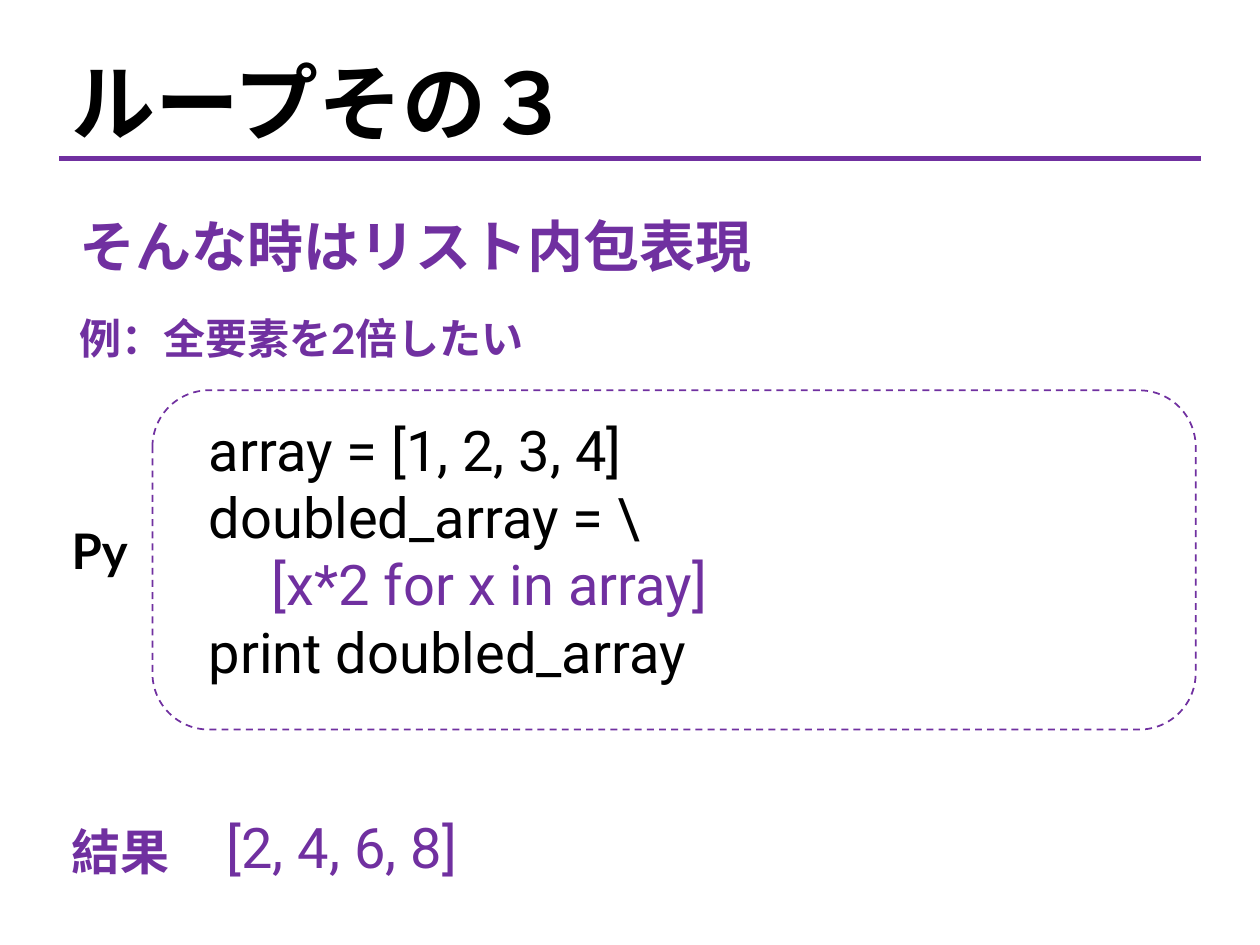
from dataclasses import dataclass

from lxml import etree
from pptx import Presentation
from pptx import util as u
from pptx.dml.color import RGBColor
from pptx.enum import dml, shapes, text
from pptx.oxml.ns import qn


@dataclass(frozen=True)
class Theme:
    """Colours, fonts and type sizes of the page."""
    accent: RGBColor = RGBColor(0x70, 0x30, 0xA0)
    ink: RGBColor = RGBColor(0, 0, 0)
    heading: str = "Noto Sans CJK JP"
    label: str = "Lato"
    code: str = "Roboto"
    title: int = 48
    large: int = 32
    medium: int = 28
    small: int = 24


class Page:
    """Draws elements on one slide, placed by shares of its size."""

    def __init__(self, deck, theme):
        """Add a slide with only a title."""
        self.deck, self.theme = deck, theme
        self.slide = deck.slides.add_slide(deck.slide_layouts[5])

    def place(self, left, top, width, height):
        """Turn shares of the slide into lengths."""
        across, down = self.deck.slide_width, self.deck.slide_height
        return [round(share * side) for share, side in
                zip((left, top, width, height), (across, down) * 2)]

    def fill_text(self, box, lines, font, size, bold=False):
        """Fill a box with (wording, colour) lines."""
        frame = box.text_frame
        frame.word_wrap = True
        frame.auto_size = text.MSO_AUTO_SIZE.NONE
        frame.vertical_anchor = text.MSO_ANCHOR.TOP
        for index, (wording, colour) in enumerate(lines):
            para = frame.add_paragraph() if index else frame.paragraphs[0]
            para.text = wording
            para.alignment = text.PP_ALIGN.LEFT
            para.font.name, para.font.size = font, u.Pt(size)
            para.font.bold, para.font.color.rgb = bold, colour
            east = etree.SubElement(para.font._element, qn("a:ea"))
            east.set("typeface", self.theme.heading)

    def title(self, area, wording):
        """Move and format the title placeholder."""
        box = self.slide.shapes.title
        box.left, box.top, box.width, box.height = self.place(*area)
        self.fill_text(box, [(wording, self.theme.ink)],
                       self.theme.heading, self.theme.title, True)

    def label(self, area, wording, size, colour):
        """Add a bold one-paragraph label."""
        box = self.slide.shapes.add_textbox(*self.place(*area))
        self.fill_text(box, [(wording, colour)], self.theme.label, size, True)

    def code(self, area, lines):
        """Add lines of code."""
        box = self.slide.shapes.add_textbox(*self.place(*area))
        self.fill_text(box, lines, self.theme.code, self.theme.large)

    def rule(self, left, right, top):
        """Add a horizontal rule."""
        start, level, end, _ = self.place(left, top, right, top)
        line = self.slide.shapes.add_connector(
            shapes.MSO_CONNECTOR.STRAIGHT, start, level, end, level)
        line.line.color.rgb, line.line.width = self.theme.accent, u.Pt(3)
        etree.SubElement(line._element.spPr, qn("a:effectLst"))

    def frame(self, area):
        """Add a dashed rounded frame."""
        box = self.slide.shapes.add_shape(
            shapes.MSO_SHAPE.ROUNDED_RECTANGLE, *self.place(*area))
        box.shadow.inherit = False
        box.fill.background()
        box.line.color.rgb, box.line.width = self.theme.accent, u.Pt(1)
        box.line.dash_style = dml.MSO_LINE.DASH


def main():
    """Build and save the deck."""
    deck = Presentation()
    deck.slide_width, deck.slide_height = u.Inches(10), u.Inches(7.5)
    theme = Theme()
    page = Page(deck, theme)
    margin, indent = 0.05, 0.05
    margin, indent = 0.047, 0.053
    ink, accent = theme.ink, theme.accent

    page.title((margin, 0.047, 0.45, 0.121), "ループその３")
    page.rule(margin, 1 - margin, 0.168)
    page.label((indent, 0.217, 0.57, 0.085), "そんな時はリスト内包表現", theme.large, accent)
    page.label((indent, 0.324, 0.379, 0.067), "例：全要素を2倍したい", theme.small, accent)
    page.frame((0.121, 0.413, 0.828, 0.359))
    page.label((margin, 0.544, 0.072, 0.076), "Py", theme.medium, ink)
    page.code((0.156, 0.433, 0.57, 0.301), [
        ("array = [1, 2, 3, 4]", ink),
        ("doubled_array = \\", ink),
        ("\t[x*2 for x in array]", accent),
        ("print doubled_array", ink),
    ])
    page.label((margin, 0.863, 0.108, 0.076), "結果", theme.medium, accent)
    page.code((0.17, 0.853, 0.289, 0.085), [("[2, 4, 6, 8]", accent)])
    deck.save("out.pptx")


main()
